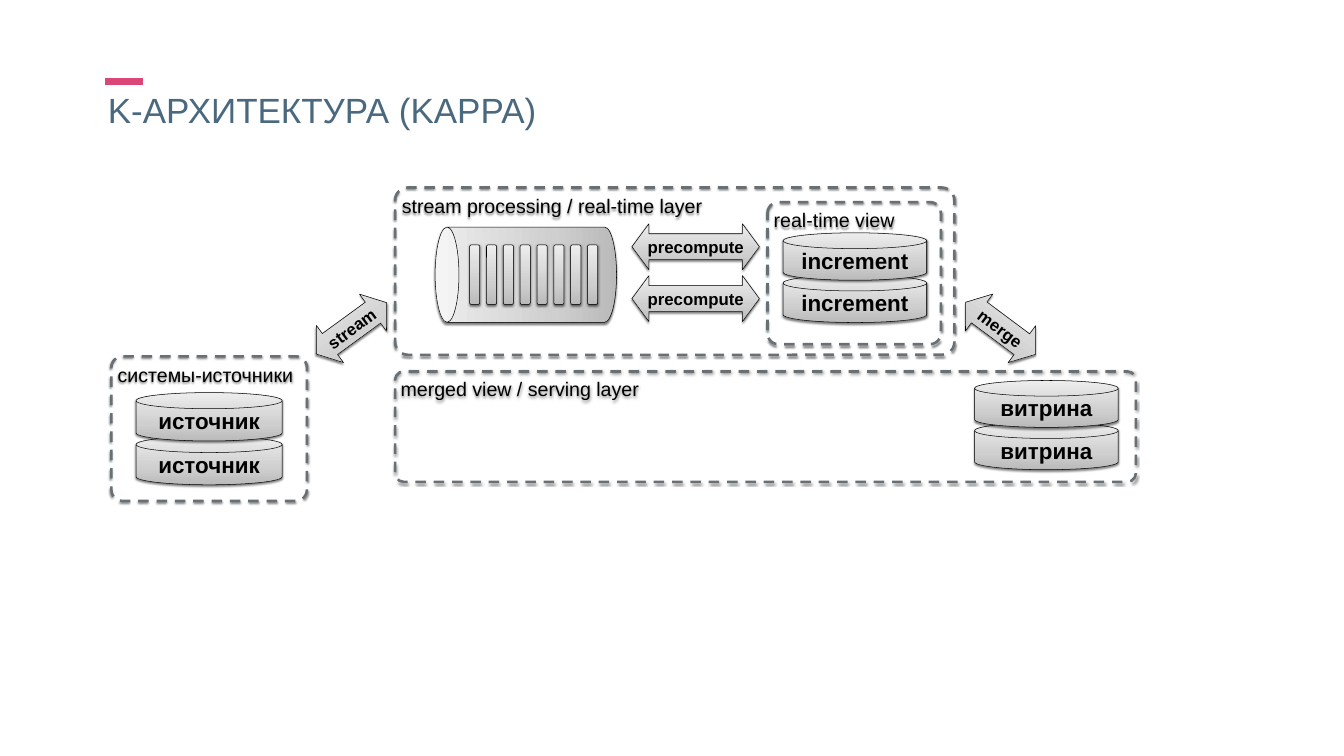
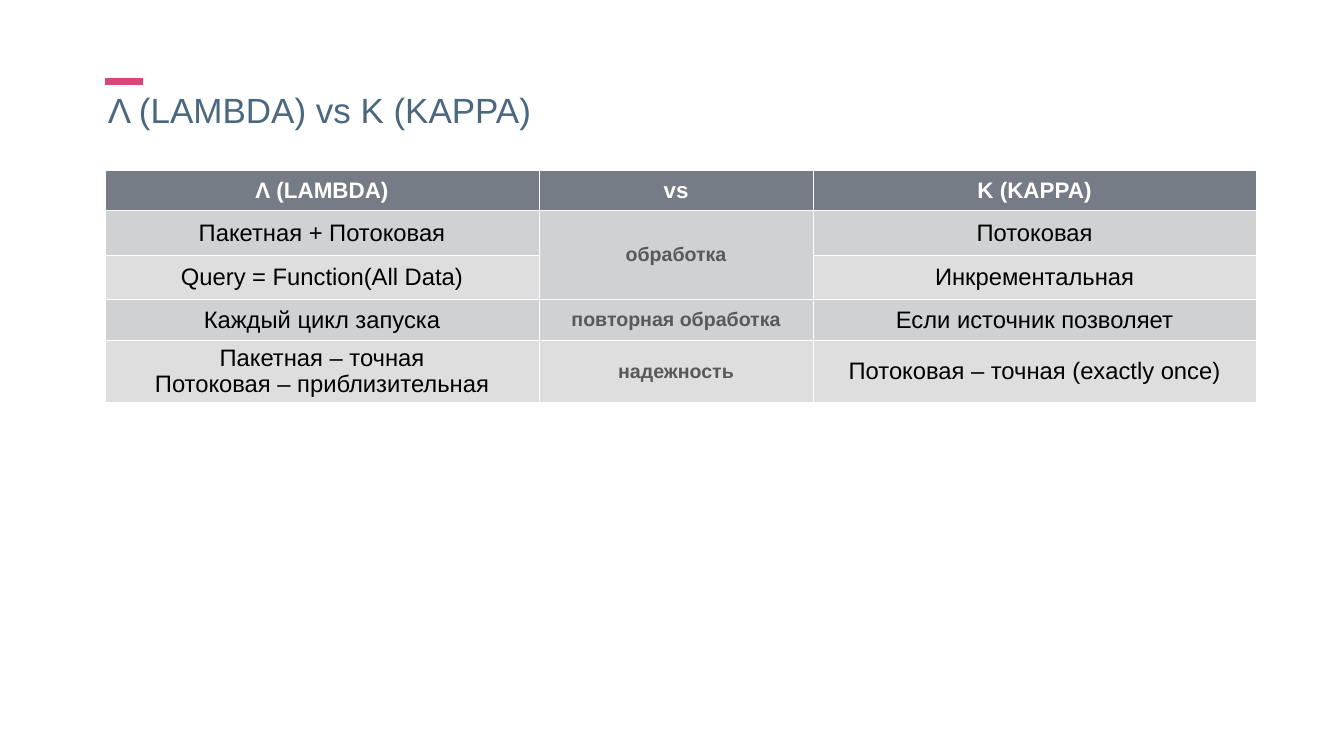
from pptx import Presentation
from pptx.dml.color import RGBColor
from pptx.enum.dml import MSO_LINE
from pptx.enum.shapes import MSO_CONNECTOR, MSO_SHAPE
from pptx.enum.text import MSO_ANCHOR, PP_ALIGN
from pptx.oxml import parse_xml
from pptx.oxml.ns import nsdecls, qn
from pptx.util import Inches, Pt

CENTER, LEFT = PP_ALIGN.CENTER, PP_ALIGN.LEFT
MIDDLE, TOP = MSO_ANCHOR.MIDDLE, MSO_ANCHOR.TOP
DASH = MSO_LINE.DASH
STRAIGHT = MSO_CONNECTOR.STRAIGHT
DISK = MSO_SHAPE.FLOWCHART_MAGNETIC_DISK
ROUNDED = MSO_SHAPE.ROUNDED_RECTANGLE
CAN = MSO_SHAPE.CAN
DOUBLE_ARROW = MSO_SHAPE.LEFT_RIGHT_ARROW

FONT = "Arial"
COLORS = {
    "title": "4A687E",
    "accent": "DA4678",
    "text": "000000",
    "outline": "000000",
    "frame": "686F75",
    "header": "767C85",
    "header_text": "FFFFFF",
    "topic": "595959",
    "band_dark": "D0D1D2",
    "band_light": "DEDEDF",
}
METAL_STOPS = [(0, "BABABA"), (35, "CFCFCF"), (100, "EDEDED")]
MARGIN = 0.06
PAGE_LEFT = 2.08

COMPARISON = [
    ("Λ (LAMBDA)", "vs", "Κ (KAPPA)"),
    ("Пакетная + Потоковая", "обработка", "Потоковая"),
    ("Query = Function(All Data)", "", "Инкрементальная"),
    ("Каждый цикл запуска", "повторная обработка", "Если источник позволяет"),
    ("Пакетная – точная\nПотоковая – приблизительная", "надежность",
     "Потоковая – точная (exactly once)"),
]


def color(name):
    return RGBColor.from_string(COLORS[name])


def write(frame, text, size, shade="text", bold=False, align=LEFT, spacing=None):
    para = frame.paragraphs[0]
    para.alignment = align
    if spacing:
        para.line_spacing = spacing
    for index, line in enumerate(text.split("\n")):
        if index:
            para.add_line_break()
        span = para.add_run()
        span.text = line
        span.font.name = FONT
        span.font.size = Pt(size)
        span.font.bold = bold
        span.font.color.rgb = color(shade)


def prepare_frame(frame, anchor):
    frame.word_wrap = True
    frame.vertical_anchor = anchor
    frame.margin_left = frame.margin_right = Inches(MARGIN)
    frame.margin_top = frame.margin_bottom = Inches(MARGIN)


def add_page(deck, title):
    page = deck.slides.add_slide(deck.slide_layouts[6])
    box = page.shapes.add_textbox(
        Inches(PAGE_LEFT), Inches(1.85), Inches(22.05), Inches(0.79))
    prepare_frame(box.text_frame, TOP)
    write(box.text_frame, title, 50, "title", spacing=0.8)
    dash = page.shapes.add_connector(
        STRAIGHT, Inches(PAGE_LEFT), Inches(1.62), Inches(2.84), Inches(1.62))
    dash.line.color.rgb = color("accent")
    dash.line.width = Pt(11)
    dash._element.spPr.append(parse_xml(f"<a:effectLst {nsdecls('a')}/>"))
    return page


def add_shadow(shape):
    shape.shadow.inherit = False
    shape._element.spPr.find(qn("a:effectLst")).append(parse_xml(
        f'<a:outerShdw {nsdecls("a")} blurRad="{Pt(3)}" dist="{Pt(2)}" '
        'dir="5400000" rotWithShape="0"><a:srgbClr val="000000">'
        '<a:alpha val="50000"/></a:srgbClr></a:outerShdw>'))


def fill_metal(shape):
    stops = "".join(
        f'<a:gs pos="{position * 1000}"><a:srgbClr val="{shade}"/></a:gs>'
        for position, shade in METAL_STOPS)
    gradient = parse_xml(
        f'<a:gradFill {nsdecls("a")} rotWithShape="1"><a:gsLst>{stops}</a:gsLst>'
        '<a:lin ang="16200000" scaled="0"/></a:gradFill>')
    properties = shape._element.spPr
    properties.replace(properties.find(qn("a:noFill")), gradient)


def add_outlined(page, kind, place, adjustments, line_shade, line_width):
    shape = page.shapes.add_shape(kind, *(Inches(value) for value in place))
    for index, value in enumerate(adjustments):
        shape.adjustments[index] = value
    shape.fill.background()
    shape.line.color.rgb = color(line_shade)
    shape.line.width = Pt(line_width)
    add_shadow(shape)
    return shape


def add_metal(page, kind, place, adjustments=(), rotation=0):
    shape = add_outlined(page, kind, place, adjustments, "outline", 0.75)
    fill_metal(shape)
    shape.rotation = rotation
    return shape


def add_layer(page, place, label):
    shape = add_outlined(page, ROUNDED, place, [0.077], "frame", 3.75)
    shape.line.dash_style = DASH
    prepare_frame(shape.text_frame, TOP)
    write(shape.text_frame, label, 28)


def add_disk_pair(page, left, top, width, height, step, label):
    for offset in (step, 0):
        disk = add_metal(page, DISK, (left, top + offset, width, height))
        prepare_frame(disk.text_frame, MIDDLE)
        write(disk.text_frame, label, 32, bold=True, align=CENTER)


def add_arrow(page, left, top, width, label, rotation=0):
    arrow = add_metal(
        page, DOUBLE_ARROW, (left, top, width, 0.91), [0.565, 0.37], rotation)
    prepare_frame(arrow.text_frame, TOP)
    write(arrow.text_frame, label, 24, bold=True, align=CENTER)


def add_queue(page):
    add_metal(page, CAN, (9.49, 3.65, 1.89, 3.6), [0.25], 270)
    message_count, first, last = 8, 9.32, 11.66
    step = (last - first) / (message_count - 1)
    for index in range(message_count):
        add_metal(page, ROUNDED, (first + index * step, 4.86, 0.2, 1.18), [0.167])


def add_comparison(page):
    widths = [8.62, 5.43, 8.8]
    heights = [0.81, 0.88, 0.88, 0.81, 0.81]
    table = page.shapes.add_table(
        len(heights), len(widths), Inches(PAGE_LEFT), Inches(3.37),
        Inches(sum(widths)), Inches(sum(heights))).table
    table.first_row = table.horz_banding = False
    for column, width in zip(table.columns, widths):
        column.width = Inches(width)
    for row, height in zip(table.rows, heights):
        row.height = Inches(height)
    for row_index, texts in enumerate(COMPARISON):
        band = "band_dark" if row_index % 2 else "band_light"
        for column_index, text in enumerate(texts):
            if row_index == 0:
                fill, style = "header", (32, "header_text", True)
            elif column_index == 1:
                fill, style = band, (28, "topic", True)
            else:
                fill, style = band, (34, "text", False)
            cell = table.cell(row_index, column_index)
            cell.fill.solid()
            cell.fill.fore_color.rgb = color(fill)
            cell.vertical_anchor = MIDDLE
            if text:
                write(cell.text_frame, text, *style, align=CENTER)
    table.cell(1, 1).merge(table.cell(2, 1))


def build_kappa(deck):
    page = add_page(deck, "Κ-АРХИТЕКТУРА (KAPPA)")
    add_layer(page, (2.21, 7.07, 3.88, 2.87), "системы-источники")
    add_disk_pair(page, 2.7, 7.79, 2.9, 0.96, 0.87, "источник")
    add_layer(page, (7.84, 3.72, 11.1, 3.32), "stream processing / real-time layer")
    add_layer(page, (15.23, 4.01, 3.44, 2.82), "real-time view")
    add_disk_pair(page, 15.54, 4.62, 2.85, 0.94, 0.84, "increment")
    add_queue(page)
    for top in (4.44, 5.47):
        add_arrow(page, 12.54, top, 2.53, "precompute")
    add_arrow(page, 6.11, 6.06, 1.73, "stream", 323.9)
    add_layer(page, (7.84, 7.37, 14.7, 2.19), "merged view / serving layer")
    add_disk_pair(page, 19.34, 7.55, 2.85, 0.93, 0.84, "витрина")
    add_arrow(page, 18.99, 6.06, 1.73, "merge", 36.7)


def build_comparison(deck):
    page = add_page(deck, "Λ (LAMBDA) vs Κ (KAPPA)")
    add_comparison(page)


def main():
    deck = Presentation()
    deck.slide_width = Inches(26.67)
    deck.slide_height = Inches(15)
    build_kappa(deck)
    build_comparison(deck)
    deck.save("out.pptx")


if __name__ == "__main__":
    main()
